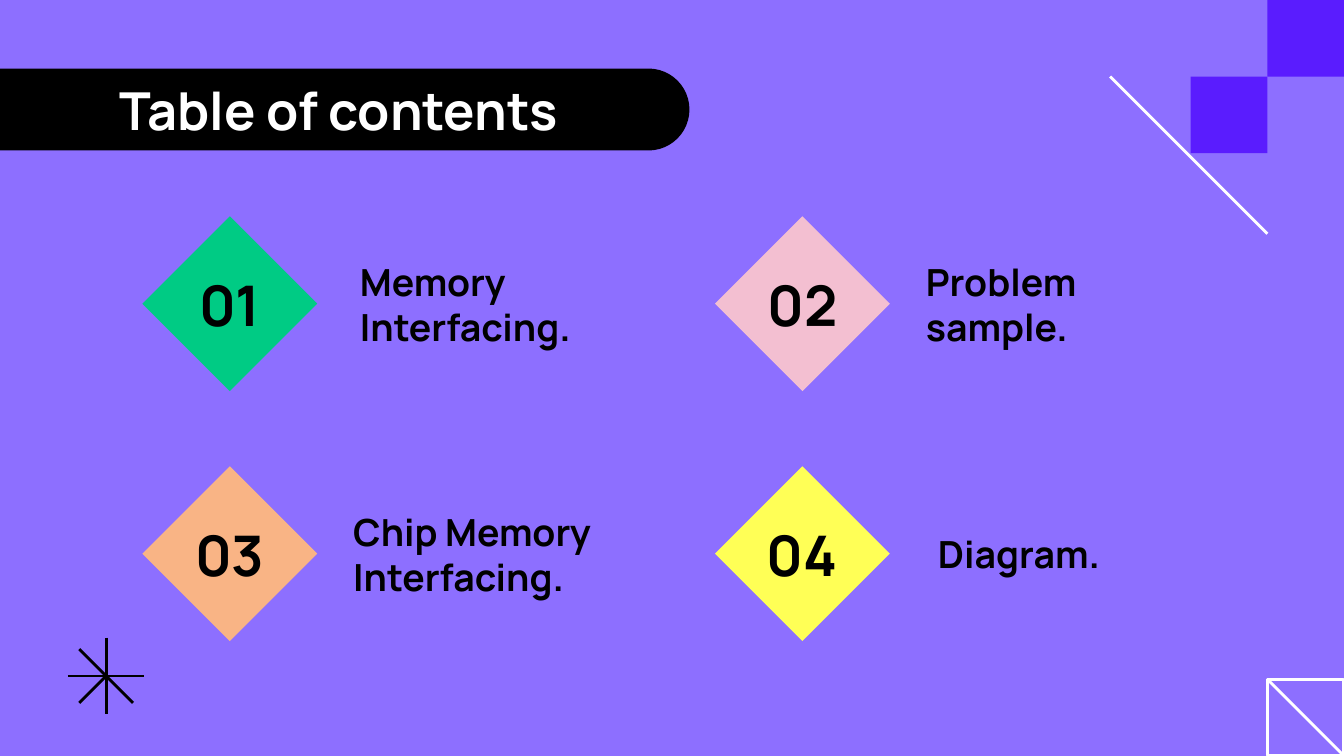
from dataclasses import dataclass

from lxml import etree
from pptx import Presentation
from pptx import util as u
from pptx.dml.color import RGBColor
from pptx.enum import shapes, text
from pptx.oxml.ns import qn

WIDTH, HEIGHT = 10, 5.625
CELL = 0.57
RIGHT = WIDTH - CELL
BOTTOM = HEIGHT - CELL
COLUMNS = (1.71, 5.97)
ROWS = (2.26, 4.12)
DIAMOND = 0.92
NUMBER_BOX = 0.76
LABEL_WIDTH, LABEL_HEIGHT = 2.15, 0.52
FONT = "Manrope"
COLORS = {
    "background": "8D6FFF",
    "accent": "5A1CFE",
    "black": "000000",
    "white": "FFFFFF",
    "green": "00CB84",
    "pink": "F3BFD1",
    "orange": "F9B485",
    "yellow": "FFFF56",
}


@dataclass(frozen=True)
class Topic:
    number: str
    label: str
    color: str
    column: int
    row: int
    label_offset: float


@dataclass(frozen=True)
class Stroke:
    start: tuple[float, float]
    end: tuple[float, float]
    color: str


TOPICS = (
    Topic("01", "Memory Interfacing.", "green", 0, 0, 0.87),
    Topic("02", "Problem sample.", "pink", 1, 0, 0.82),
    Topic("03", "Chip Memory Interfacing.", "orange", 0, 1, 0.82),
    Topic("04", "Diagram.", "yellow", 1, 1, 0.91),
)

STAR_X, STAR_Y = 0.79, 5.03
ARM, DIAGONAL = CELL / 2, 0.2
STROKES = (
    Stroke((RIGHT - 1.17, CELL), (RIGHT, CELL + 1.17), "white"),
    Stroke((RIGHT, BOTTOM), (WIDTH, HEIGHT), "white"),
    Stroke((STAR_X, STAR_Y - ARM), (STAR_X, STAR_Y + ARM), "black"),
    Stroke((STAR_X - ARM, STAR_Y), (STAR_X + ARM, STAR_Y), "black"),
    Stroke((STAR_X - DIAGONAL, STAR_Y - DIAGONAL),
           (STAR_X + DIAGONAL, STAR_Y + DIAGONAL), "black"),
    Stroke((STAR_X - DIAGONAL, STAR_Y + DIAGONAL), (STAR_X, STAR_Y), "black"),
)


def rgb(name: str) -> RGBColor:
    return RGBColor.from_string(COLORS[name])


def add_block(page, kind, left: float, top: float, width: float, height: float,
              fill: str | None = None, line: str | None = None):
    block = page.shapes.add_shape(kind, *map(u.Inches, (left, top, width, height)))
    block.shadow.inherit = False
    if fill:
        block.fill.solid()
        block.fill.fore_color.rgb = rgb(fill)
    else:
        block.fill.background()
    if line:
        block.line.color.rgb = rgb(line)
        block.line.width = u.Pt(1.5)
    else:
        block.line.fill.background()
    return block


def add_stroke(page, stroke: Stroke) -> None:
    points = map(u.Inches, (*stroke.start, *stroke.end))
    line = page.shapes.add_connector(shapes.MSO_CONNECTOR.STRAIGHT, *points)
    line.line.color.rgb = rgb(stroke.color)
    line.line.width = u.Pt(1.5)
    etree.SubElement(line._element.spPr, qn("a:effectLst"))


def add_text(page, content: str, left: float, top: float, width: float, height: float,
             size: int, color: str = "black", align=text.PP_ALIGN.LEFT,
             side_inset: float = 0.1) -> None:
    box = page.shapes.add_textbox(*map(u.Inches, (left, top, width, height)))
    frame = box.text_frame
    frame.word_wrap = True
    frame.vertical_anchor = text.MSO_ANCHOR.MIDDLE
    frame.margin_left = frame.margin_right = u.Inches(side_inset)
    frame.margin_top = frame.margin_bottom = u.Inches(0.1)
    frame.text = content
    para = frame.paragraphs[0]
    para.alignment = align
    font = para.runs[0].font
    font.name, font.size, font.bold = FONT, u.Pt(size), True
    font.color.rgb = rgb(color)


def add_topic(page, topic: Topic) -> None:
    x, y = COLUMNS[topic.column], ROWS[topic.row]
    diamond = add_block(page, shapes.MSO_SHAPE.RECTANGLE, x - DIAMOND / 2,
                        y - DIAMOND / 2, DIAMOND, DIAMOND, topic.color)
    diamond.rotation = 45
    add_text(page, topic.number, x - NUMBER_BOX / 2, y - NUMBER_BOX / 2,
             NUMBER_BOX, NUMBER_BOX, 30, align=text.PP_ALIGN.CENTER, side_inset=0)
    add_text(page, topic.label, x + topic.label_offset, y - LABEL_HEIGHT / 2,
             LABEL_WIDTH, LABEL_HEIGHT, 20)


def main() -> None:
    deck = Presentation()
    deck.slide_width, deck.slide_height = u.Inches(WIDTH), u.Inches(HEIGHT)
    page = deck.slides.add_slide(deck.slide_layouts[6])
    page.background.fill.solid()
    page.background.fill.fore_color.rgb = rgb("background")

    square = shapes.MSO_SHAPE.RECTANGLE
    add_block(page, square, RIGHT, BOTTOM, CELL, CELL, line="white")
    add_block(page, square, RIGHT - CELL, CELL, CELL, CELL, "accent")
    add_block(page, square, RIGHT, 0, CELL, CELL, "accent")
    for stroke in STROKES:
        add_stroke(page, stroke)

    banner = add_block(page, shapes.MSO_SHAPE.ROUNDED_RECTANGLE,
                       -0.28, 0.51, 5.41, 0.61, "black")
    banner.adjustments[0] = 0.5
    add_text(page, "Table of contents", 0.79, 0.59, 8.43, 0.45, 28, "white")
    for topic in TOPICS:
        add_topic(page, topic)
    deck.save("out.pptx")


if __name__ == "__main__":
    main()
